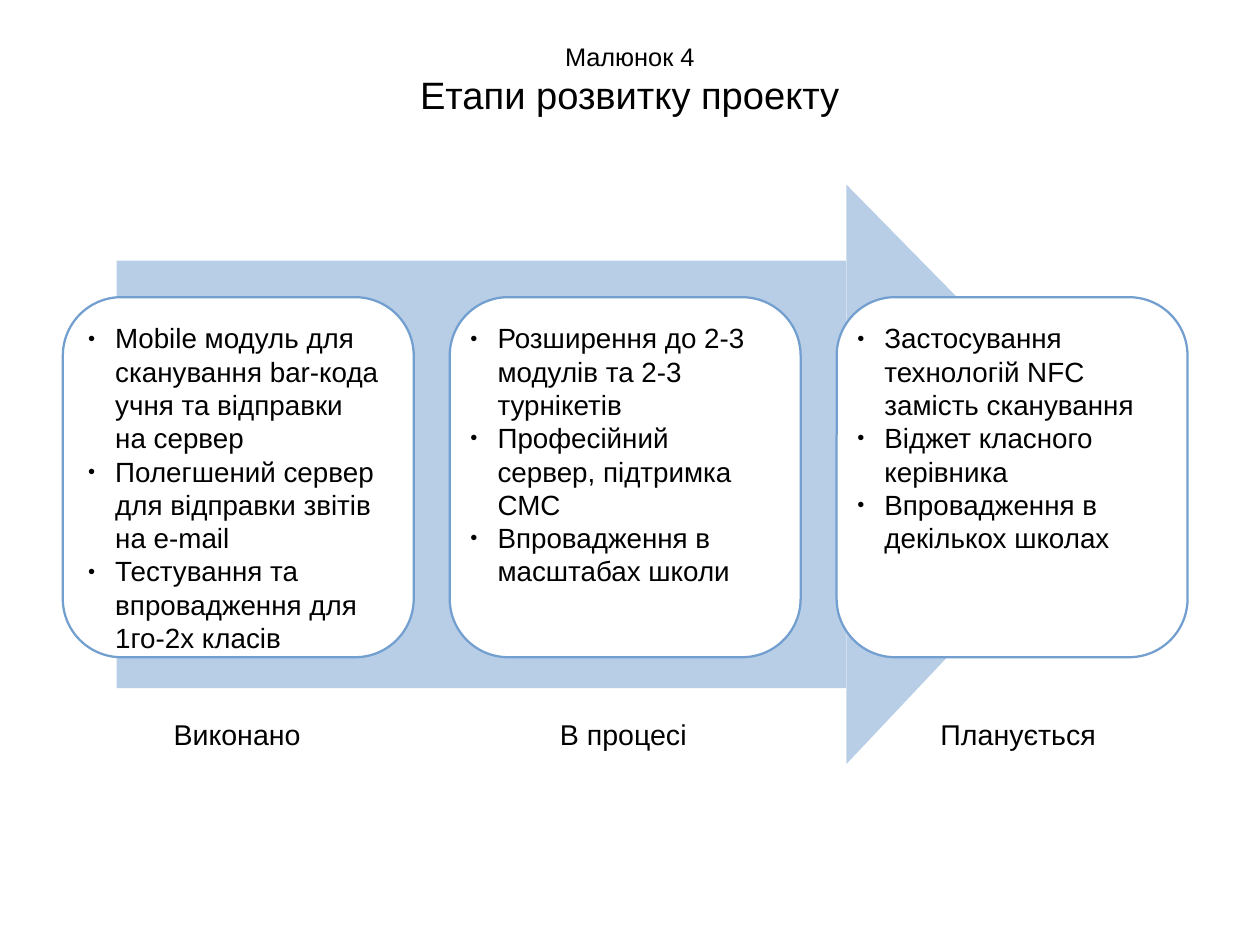
from lxml import etree
from pptx import Presentation
from pptx.dml.color import RGBColor
from pptx.enum import shapes, text
from pptx.oxml.ns import qn
from pptx.util import Cm, Inches, Pt

FONT, BLACK, WHITE, BLUE = "Arial", "000000", "FFFFFF", "729FCF"
TITLE = [("Малюнок 4", 16), ("Етапи розвитку проекту", 24)]
# Each stage: label, label left, label width, list offset inside the card, items
STAGES = [
    ("Виконано", 1.42, 1.31, 0.12, [
        "Mobile модуль для сканування bar-кода учня та відправки на сервер",
        "Полегшений сервер для відправки звітів на e-mail",
        "Тестування та впровадження для 1го-2х класів"]),
    ("В процесі", 4.8, 1.31, 0.08, [
        "Розширення до 2-3 модулів та 2-3 турнікетів",
        "Професійний сервер, підтримка СМС",
        "Впровадження в масштабах школи"]),
    ("Планується", 8.13, 1.56, 0.08, [
        "Застосування технологій NFC замість сканування",
        "Віджет класного керівника",
        "Впровадження в декількох школах"]),
]
CARDS_LEFT, CARDS_RIGHT, CARD_TOP = 0.55, 10.39, 2.6
CARD_W, CARD_H = 3.07, 3.15
PITCH = (CARDS_RIGHT - CARDS_LEFT - CARD_W) / (len(STAGES) - 1)


def rgb(color):
    """Turn a hex string into a colour."""
    return RGBColor.from_string(color)


def add_shape(s, kind, box, fill, line=None, alpha=None):
    """Add a flat filled shape, with an optional outline and opacity percent."""
    sp = s.shapes.add_shape(kind, *map(Inches, box))
    sp.shadow.inherit = False
    sp.fill.solid()
    sp.fill.fore_color.rgb = rgb(fill)
    if alpha:
        clr = sp._element.spPr.find(qn("a:solidFill"))[0]
        etree.SubElement(clr, qn("a:alpha"), val=str(alpha * 1000))
    if line:
        sp.line.color.rgb = rgb(line)
        sp.line.width = Pt(1.42)
    else:
        sp.line.fill.background()
    return sp


def add_text(s, box, lines, wrap=True, sep="\n"):
    """Add a text box from (text, size) lines and return its text frame."""
    tf = s.shapes.add_textbox(*map(Inches, box)).text_frame
    tf.word_wrap = wrap
    tf.text = sep.join(line for line, _ in lines)
    runs = [r for p in tf.paragraphs for r in p.runs]
    for r, (_, size) in zip(runs, lines):
        r.font.name, r.font.size = FONT, Pt(size)
        r.font.color.rgb = rgb(BLACK)
    return tf


def add_bullet(p):
    """Give a paragraph a small black dot and a hanging indent."""
    pPr = p._p.get_or_add_pPr()
    indent = Inches(0.24)
    pPr.set("marL", str(indent))
    pPr.set("indent", str(-indent))
    clr = etree.SubElement(pPr, qn("a:buClr"))
    etree.SubElement(clr, qn("a:srgbClr"), val=BLACK)
    etree.SubElement(pPr, qn("a:buSzPct"), val="45000")
    etree.SubElement(pPr, qn("a:buFont"), typeface=FONT)
    etree.SubElement(pPr, qn("a:buChar"), char="●")


prs = Presentation()
prs.slide_width, prs.slide_height = Cm(28), Cm(21)
s = prs.slides.add_slide(prs.slide_layouts[6])

kinds = shapes.MSO_SHAPE
add_shape(s, kinds.RECTANGLE, (1.02, 2.28, 6.38, 3.74), BLUE, alpha=50)
head = add_shape(s, kinds.ISOSCELES_TRIANGLE, (6.09, 2.93, 5.07, 2.44), BLUE, alpha=50)
head.rotation = 90
head.adjustments[0] = 0.49

tf = add_text(s, (0.55, 0.16, 9.92, 1.07), TITLE, sep="\v")
tf.vertical_anchor = text.MSO_ANCHOR.MIDDLE
tf.margin_left = tf.margin_right = tf.margin_top = tf.margin_bottom = 0
p = tf.paragraphs[0]
p.alignment = text.PP_ALIGN.CENTER
# The line break takes the size of the first line
etree.SubElement(p._p.find(qn("a:br")), qn("a:rPr"), sz=str(TITLE[0][1] * 100))

for i, (label, label_left, label_w, offset, items) in enumerate(STAGES):
    left = CARDS_LEFT + i * PITCH
    add_shape(s, kinds.FLOWCHART_ALTERNATE_PROCESS,
              (left, CARD_TOP, CARD_W, CARD_H), WHITE, line=BLUE)
    tf = add_text(s, (left + offset, 2.76, 2.76, 2.91), [(item, 17.5) for item in items])
    for p in tf.paragraphs:
        add_bullet(p)
    add_text(s, (label_left, 6.22, label_w, 0.38), [(label, 18)], wrap=False)

prs.save("out.pptx")
